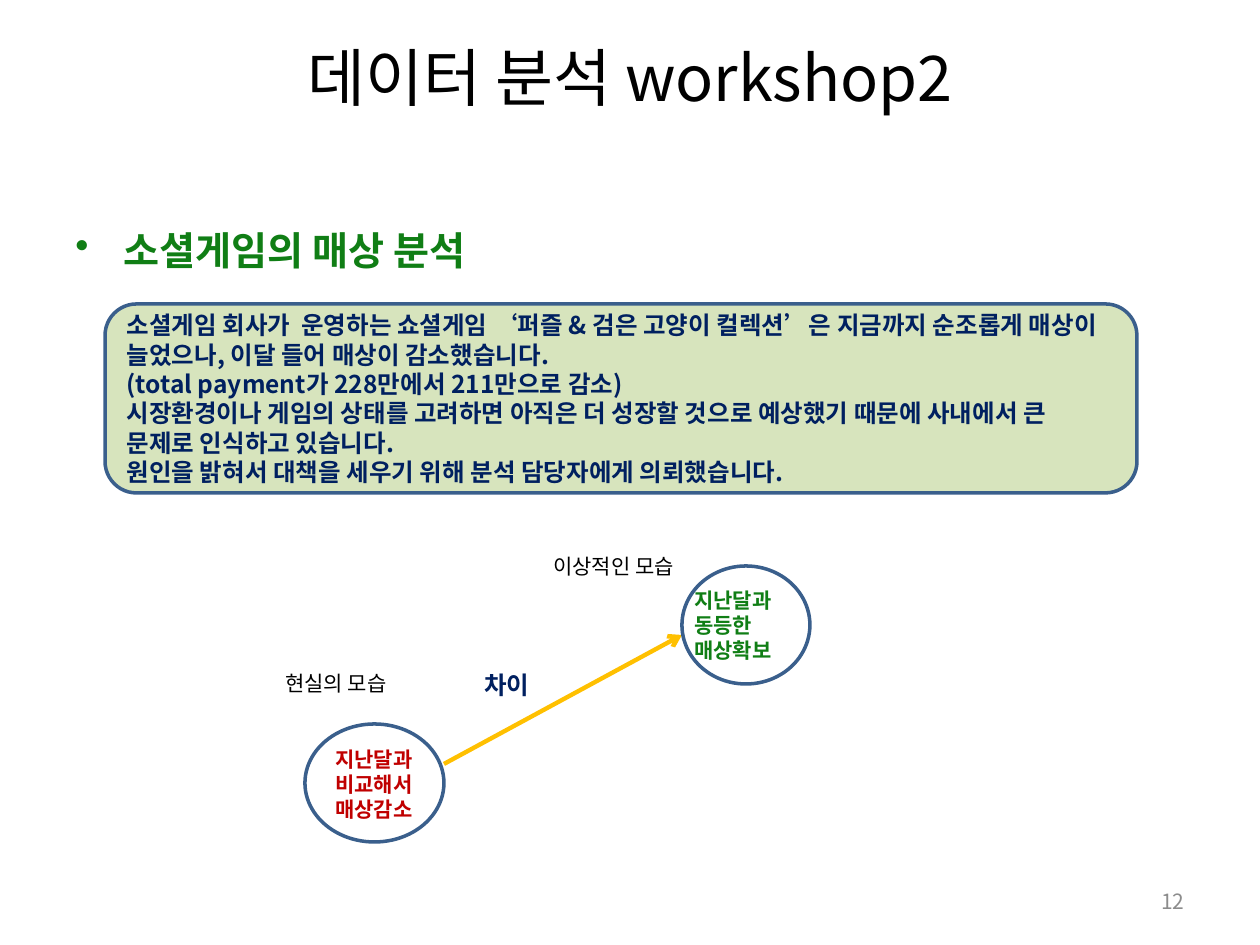
from lxml import etree
from pptx import Presentation
from pptx.dml.color import RGBColor
from pptx.enum import shapes, text
from pptx.oxml.ns import qn
from pptx.util import Emu, Pt

# Content: lengths in pixels, 126 to the inch
PX = 914400 // 126
FONT = "Noto Sans CJK KR"
COLORS = {"black": "000000", "green": "107E15", "navy": "002060", "red": "C00000",
          "gray": "8C8C8C", "sage": "D7E4BD", "outline": "3A5F8C", "gold": "FFC000"}
LEFT, CENTER, RIGHT = text.PP_ALIGN.LEFT, text.PP_ALIGN.CENTER, text.PP_ALIGN.RIGHT
TOP, MIDDLE = text.MSO_ANCHOR.TOP, text.MSO_ANCHOR.MIDDLE

HEADING = "소셜게임의 매상 분석"
TITLE = "데이터 분석 workshop2"
STORY = [
    "소셜게임 회사가  운영하는 쇼셜게임 ‘퍼즐 & 검은 고양이 컬렉션’은 지금까지 순조롭게 매상이 늘었으나, 이달 들어 매상이 감소했습니다.",
    "(total payment가 228만에서 211만으로 감소)",
    "시장환경이나 게임의 상태를 고려하면 아직은 더 성장할 것으로 예상했기 때문에 사내에서 큰 문제로 인식하고 있습니다.",
    "원인을 밝혀서 대책을 세우기 위해 분석 담당자에게 의뢰했습니다.",
]
STORY_BOX = (105, 304, 1032, 189)
CIRCLES = [(305, 724, 139, 118), (682, 566, 128, 118)]
ARROW = (444, 764, 682, 635)
LABELS = [  # box, text, size, color, bold
    ((472, 664, 110, 43), "차이", 14, "navy", True),
    ((273, 664, 139, 38), "현실의 모습", 12, "black", False),
    ((323, 740, 121, 89), "지난달과\n비교해서\n매상감소", 12, "red", True),
    ((541, 547, 160, 38), "이상적인 모습", 12, "black", False),
    ((682, 581, 147, 89), "지난달과\n동등한\n매상확보", 12, "green", True),
]


def px(values):
    return [Emu(v * PX) for v in values]


def rgb(name):
    return RGBColor.from_string(COLORS[name])


def write(sp, lines, size, color, bold=False, align=LEFT, anchor=TOP):
    tf = sp.text_frame
    tf.word_wrap = True
    tf.vertical_anchor = anchor
    for i, line in enumerate(lines):
        p = tf.add_paragraph() if i else tf.paragraphs[0]
        p.text = line
        p.alignment = align
        p.font.name, p.font.size, p.font.bold = FONT, Pt(size), bold
        p.font.color.rgb = rgb(color)
        latin = p._p.pPr.find(".//" + qn("a:latin"))
        east = etree.Element(qn("a:ea"), typeface=FONT)
        latin.addnext(east)
    return tf


def add_text(parent, box, *args, **kwargs):
    return write(parent.add_textbox(*px(box)), *args, **kwargs)


def add_outlined(parent, kind, box, fill=None):
    sp = parent.add_shape(kind, *px(box))
    sp.shadow.inherit = False
    if fill:
        sp.fill.solid()
        sp.fill.fore_color.rgb = rgb(fill)
    else:
        sp.fill.background()
    sp.line.color.rgb = rgb("outline")
    sp.line.width = Pt(2)
    return sp


prs = Presentation()
prs.slide_width, prs.slide_height = px((1260, 945))
s = prs.slides.add_slide(prs.slide_layouts[6])

# Bulleted heading and title
tf = add_text(s.shapes, (63, 220, 1074, 54), [HEADING], 22.4, "green", True)
p = tf.paragraphs[0]
p.space_before = Pt(4.5)
pPr = p._p.pPr
pPr.set("marL", str(48 * PX))
pPr.set("indent", str(-48 * PX))
bullet = etree.Element(qn("a:buChar"), char="•")
pPr.find(qn("a:defRPr")).addprevious(bullet)
add_text(s.shapes, (63, 38, 1134, 77), [TITLE], 36, "black", align=CENTER, anchor=MIDDLE)

# Story panel
panel = add_outlined(s.shapes, shapes.MSO_SHAPE.ROUNDED_RECTANGLE, STORY_BOX, "sage")
write(panel, STORY, 14, "navy", True, anchor=MIDDLE)

# Gap diagram: arrow, circles, labels
diagram = s.shapes.add_group_shape().shapes
arrow = diagram.add_connector(shapes.MSO_CONNECTOR.STRAIGHT, *px(ARROW))
arrow.line.color.rgb = rgb("gold")
arrow.line.width = Pt(2.5)
etree.SubElement(arrow.line._get_or_add_ln(), qn("a:tailEnd"), type="arrow")
etree.SubElement(arrow._element.spPr, qn("a:effectLst"))
for box in CIRCLES:
    add_outlined(diagram, shapes.MSO_SHAPE.OVAL, box)
for box, label, size, color, bold in LABELS:
    add_text(diagram, box, [label], size, color, bold)

# Page number
add_text(s.shapes, (903, 876, 294, 50), ["12"], 12, "gray", align=RIGHT, anchor=MIDDLE)

prs.save("out.pptx")
